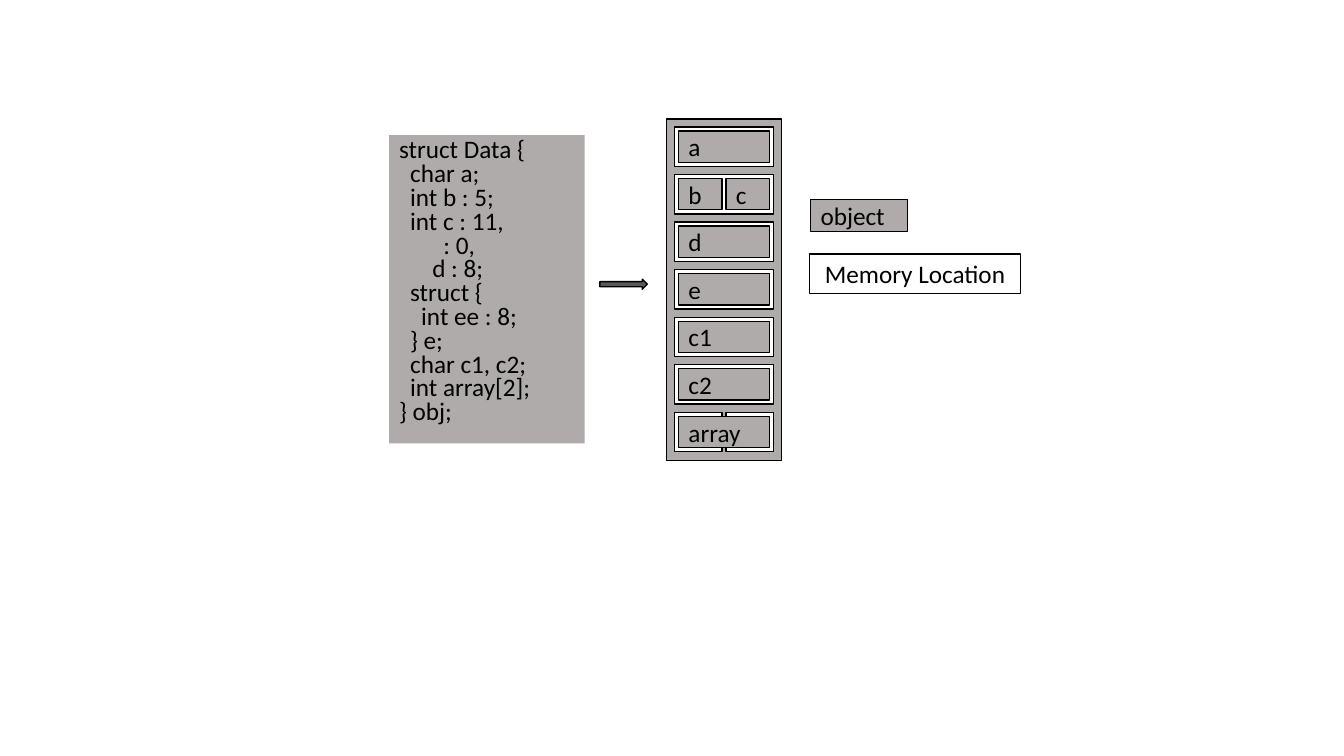
from dataclasses import dataclass

from pptx import Presentation
from pptx.dml.color import RGBColor
from pptx.enum import shapes, text
from pptx.util import Inches, Pt

COLORS = {"object": "AFABAB", "location": "FFFFFF", "ink": "000000", "arrow": "595959"}
FONT = "Calibri"
INDENT_STEP = 0.11
FIRST_ROW, LAST_ROW = 1.26, 4.09
ROW_LEFT, ROW_WIDTH, ROW_HEIGHT = 6.69, 0.98, 0.39
HALF_WIDTH, HALF_OFFSET = 0.47, 0.51
INSET = 0.04


@dataclass
class Box:
    left: float
    top: float
    width: float
    height: float
    fill: str
    outlined: bool = True
    kind: shapes.MSO_SHAPE = shapes.MSO_SHAPE.RECTANGLE


@dataclass
class CodeLine:
    level: int
    code: str


@dataclass
class Member:
    names: list[str]
    location_count: int = 1


STRUCT_CODE = [
    CodeLine(0, "struct Data {"),
    CodeLine(1, "char a;"),
    CodeLine(1, "int b : 5;"),
    CodeLine(1, "int c : 11,"),
    CodeLine(4, ": 0,"),
    CodeLine(3, "d : 8;"),
    CodeLine(1, "struct {"),
    CodeLine(2, "int ee : 8;"),
    CodeLine(1, "} e;"),
    CodeLine(1, "char c1, c2;"),
    CodeLine(1, "int array[2];"),
    CodeLine(0, "} obj;"),
]

MEMBERS = [
    Member(["a"]),
    Member(["b", "c"]),
    Member(["d"]),
    Member(["e"]),
    Member(["c1"]),
    Member(["c2"]),
    Member(["array"], location_count=2),
]


def draw_box(slide, box: Box):
    shape = slide.shapes.add_shape(
        box.kind, Inches(box.left), Inches(box.top), Inches(box.width), Inches(box.height)
    )
    shape.shadow.inherit = False
    shape.fill.solid()
    shape.fill.fore_color.rgb = RGBColor.from_string(COLORS[box.fill])
    if box.outlined:
        shape.line.color.rgb = RGBColor.from_string(COLORS["ink"])
        shape.line.width = Pt(1)
    else:
        shape.line.fill.background()
    return shape


def write_line(paragraph, content: str, *, align=text.PP_ALIGN.LEFT,
               spacing: float | None = None, level: int = 0) -> None:
    paragraph.alignment = align
    if spacing:
        paragraph.line_spacing = Pt(spacing)
    if level:
        properties = paragraph._p.get_or_add_pPr()
        properties.set("marL", str(Inches(INDENT_STEP * level)))
        properties.set("indent", "0")
    run = paragraph.add_run()
    run.text = content
    run.font.name = FONT
    run.font.size = Pt(18)
    run.font.color.rgb = RGBColor.from_string(COLORS["ink"])


def draw_label(slide, box: Box, content: str, align=text.PP_ALIGN.LEFT) -> None:
    frame = draw_box(slide, box).text_frame
    frame.vertical_anchor = text.MSO_ANCHOR.MIDDLE
    write_line(frame.paragraphs[0], content, align=align)


def draw_code(slide, box: Box, lines: list[CodeLine]) -> None:
    frame = draw_box(slide, box).text_frame
    frame.word_wrap = True
    frame.auto_size = text.MSO_AUTO_SIZE.SHAPE_TO_FIT_TEXT
    frame.vertical_anchor = text.MSO_ANCHOR.TOP
    for number, line in enumerate(lines):
        paragraph = frame.add_paragraph() if number else frame.paragraphs[0]
        write_line(paragraph, line.code, spacing=17, level=line.level)


def split_row(top: float, count: int, fill: str, inset: float = 0) -> list[Box]:
    width = (ROW_WIDTH if count == 1 else HALF_WIDTH) - inset * (3 - count)
    return [
        Box(ROW_LEFT + inset + HALF_OFFSET * part - inset * part, top + inset,
            width, ROW_HEIGHT - 2 * inset, fill)
        for part in range(count)
    ]


def draw_member(slide, top: float, member: Member) -> None:
    for location in split_row(top, member.location_count, "location"):
        draw_box(slide, location)
    objects = split_row(top, len(member.names), "object", INSET)
    for member_object, name in zip(objects, member.names):
        draw_label(slide, member_object, name)


def main() -> None:
    deck = Presentation()
    deck.slide_width, deck.slide_height = Inches(13.33), Inches(7.5)
    slide = deck.slides.add_slide(deck.slide_layouts[6])

    draw_box(slide, Box(6.61, 1.18, 1.14, 3.39, "object"))
    draw_code(slide, Box(3.86, 1.34, 1.94, 3.06, "object", outlined=False), STRUCT_CODE)

    pitch = (LAST_ROW - FIRST_ROW) / (len(MEMBERS) - 1)
    for row, member in enumerate(MEMBERS):
        draw_member(slide, FIRST_ROW + row * pitch, member)

    draw_label(slide, Box(8.04, 1.98, 0.96, 0.32, "object"), "object")
    draw_label(slide, Box(8.03, 2.52, 2.09, 0.39, "location"), "Memory Location",
               align=text.PP_ALIGN.CENTER)
    draw_box(slide, Box(5.95, 2.77, 0.47, 0.1, "arrow", kind=shapes.MSO_SHAPE.RIGHT_ARROW))
    deck.save("out.pptx")


if __name__ == "__main__":
    main()
